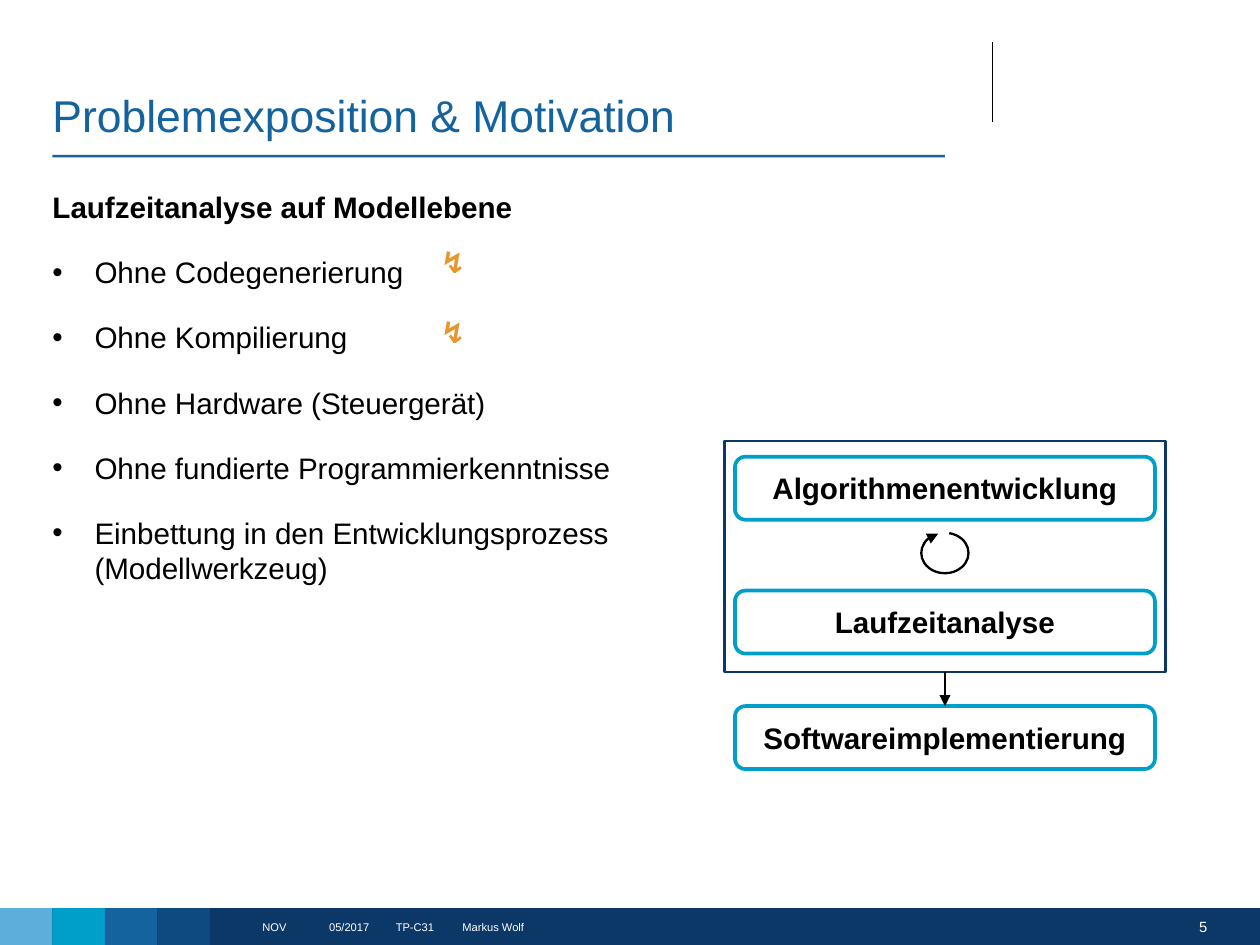
"""Build the slide on problem exposition and motivation."""
import pptx
import pptx.util
import pptx.dml.color
import pptx.enum.shapes
import pptx.enum.text
import pptx.oxml.ns
import lxml.etree

Cm, Pt = pptx.util.Cm, pptx.util.Pt
RGB = pptx.dml.color.RGBColor.from_string
Kind = pptx.enum.shapes.MSO_SHAPE
Align, Anchor = pptx.enum.text.PP_ALIGN, pptx.enum.text.MSO_ANCHOR
qn, child = pptx.oxml.ns.qn, lxml.etree.SubElement
COLORS = {"navy": "0C3868", "deep": "0E4A80", "blue": "14639E",
          "cyan": "009FCA", "sky": "5DAEDB", "white": "FFFFFF",
          "black": "000000", "orange": "E6962C"}


def write(frame, text, size=16, color="black", bold=False, italic=False,
          align=Align.LEFT, before=0, spacing=1.0, bullet=False, stops=()):
    """Add one formatted paragraph to a text frame."""
    para = frame.add_paragraph() if frame.text else frame.paragraphs[0]
    props = para._p.get_or_add_pPr()
    indent = Cm(0.8) if bullet else 0
    props.set("marL", str(indent))
    props.set("indent", str(-indent))
    if bullet:
        child(props, qn("a:buChar")).set("char", "•")
    else:
        child(props, qn("a:buNone"))
    if stops:
        tabs = child(props, qn("a:tabLst"))
        for stop in stops:
            child(tabs, qn("a:tab"), pos=str(Cm(stop)), algn="l")
    para.alignment, para.line_spacing = align, spacing
    para.space_before, para.space_after = Pt(before), Pt(0)
    run = para.add_run()
    run.text = text
    font = run.font
    font.name, font.size = "Arial", Pt(size)
    font.bold, font.italic = bold, italic
    font.color.rgb = RGB(COLORS[color])


def draw(kind, left, top, width, height, fill=None, line=None, weight=1):
    """Add one preset shape, measured in centimetres."""
    shape = slide.shapes.add_shape(kind, Cm(left), Cm(top), Cm(width), Cm(height))
    shape.shadow.inherit = False
    if fill:
        shape.fill.solid()
        shape.fill.fore_color.rgb = RGB(COLORS[fill])
    else:
        shape.fill.background()
    if line:
        shape.line.color.rgb = RGB(COLORS[line])
        shape.line.width = Pt(weight)
    else:
        shape.line.fill.background()
    return shape


deck = pptx.Presentation()
deck.slide_width, deck.slide_height = Cm(24), Cm(18)
slide = deck.slides.add_slide(deck.slide_layouts[1])

title, body = slide.shapes.title, slide.placeholders[1]
foot, page, flash = [slide.shapes.add_textbox(0, 0, 0, 0) for _ in range(3)]
for box, (left, top, width, height), anchor in (
        (title, (1, 1.75, 17, 1.15), Anchor.BOTTOM),
        (body, (1, 3.6, 12.6, 8.9), Anchor.TOP),
        (foot, (5, 17.3, 9, 0.7), Anchor.MIDDLE),
        (page, (22.3, 17.3, 0.7, 0.7), Anchor.MIDDLE),
        (flash, (8.4, 4.65, 0.4, 2.05), Anchor.TOP)):
    box.left, box.top = Cm(left), Cm(top)
    box.width, box.height = Cm(width), Cm(height)
    frame = box.text_frame
    frame.margin_left = frame.margin_right = 0
    frame.margin_top = frame.margin_bottom = 0
    frame.word_wrap = True
    frame.auto_size = pptx.enum.text.MSO_AUTO_SIZE.NONE
    frame.vertical_anchor = anchor
title.text_frame.margin_bottom = Cm(0.2)

write(title.text_frame, "Problemexposition & Motivation", size=24,
      color="blue", spacing=0.9)
write(body.text_frame, "Laufzeitanalyse auf Modellebene", bold=True)
for point in ("Ohne Codegenerierung", "Ohne Kompilierung",
              "Ohne Hardware (Steuergerät)",
              "Ohne fundierte Programmierkenntnisse",
              "Einbettung in den Entwicklungsprozess (Modellwerkzeug)"):
    write(body.text_frame, point, before=16, bullet=True)
write(foot.text_frame, "NOV\t05/2017\tTP-C31\tMarkus Wolf", size=6,
      color="white", stops=(0.44, 1.24, 2.17))
write(page.text_frame, "5", size=8, color="white", align=Align.RIGHT)
for gap in (0, 18.4):
    write(flash.text_frame, "↯", color="orange", bold=True, italic=True, before=gap)

band = [draw(Kind.RECTANGLE, 0, 17.3, 24, 0.7, "navy")]
for step, color in enumerate(("sky", "cyan", "blue", "deep")):
    band.append(draw(Kind.RECTANGLE, step, 17.3, 1, 0.7, color))
for text in (foot, page):
    band[-1]._element.addnext(text._element)
draw(Kind.RECTANGLE, 1, 2.95, 17, 0.05, "blue")

draw(Kind.RECTANGLE, 13.8, 8.4, 8.4, 4.4, "white", "navy", 1.5)
for top, label in ((8.7, "Algorithmenentwicklung"), (11.25, "Laufzeitanalyse"),
                   (13.45, "Softwareimplementierung")):
    frame = draw(Kind.ROUNDED_RECTANGLE, 14, top, 8, 1.2, "white", "cyan", 2).text_frame
    frame.margin_left = frame.margin_right = frame.margin_bottom = Cm(0.3)
    frame.margin_top = Cm(0.2)
    frame.vertical_anchor = Anchor.TOP
    frame.word_wrap = True
    write(frame, label, bold=True, align=Align.CENTER)

cycle = draw(Kind.ARC, 17.55, 10.15, 0.9, 0.77, line="black", weight=1.25)
cycle.adjustments[0], cycle.adjustments[1] = 169.42, 150.48
heads = [cycle]
for left, top, end, weight in ((18.9, 0.8, 2.33, 0.5), (18, 12.8, 13.45, 0.75)):
    link = slide.shapes.add_connector(
        pptx.enum.shapes.MSO_CONNECTOR.STRAIGHT, Cm(left), Cm(top), Cm(left), Cm(end))
    link.line.color.rgb = RGB(COLORS["black"])
    link.line.width = Pt(weight)
    child(link._element.spPr, qn("a:effectLst"))
heads.append(link)
for shape in heads:
    child(shape.line._get_or_add_ln(), qn("a:tailEnd"), type="triangle")

deck.save("out.pptx")
